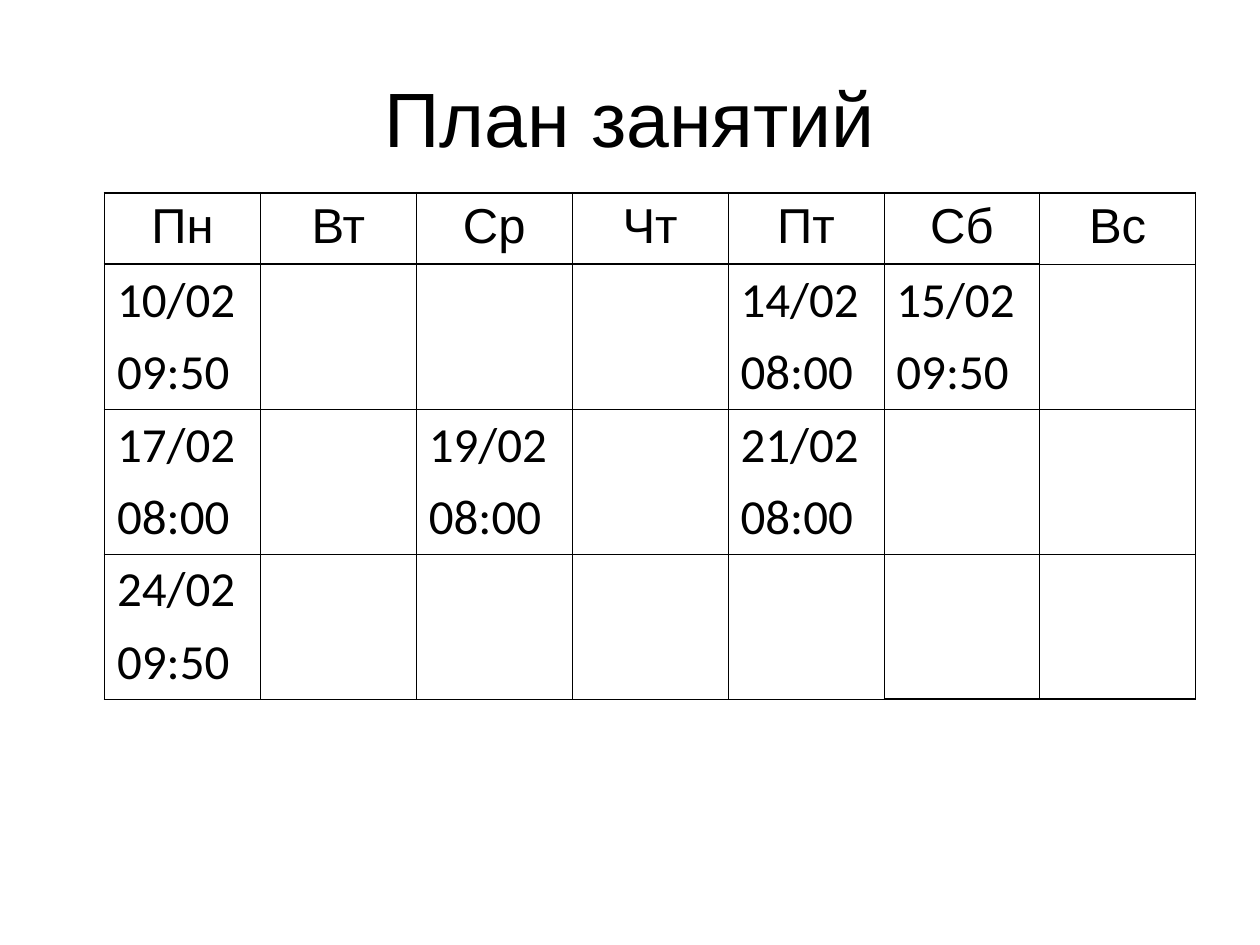
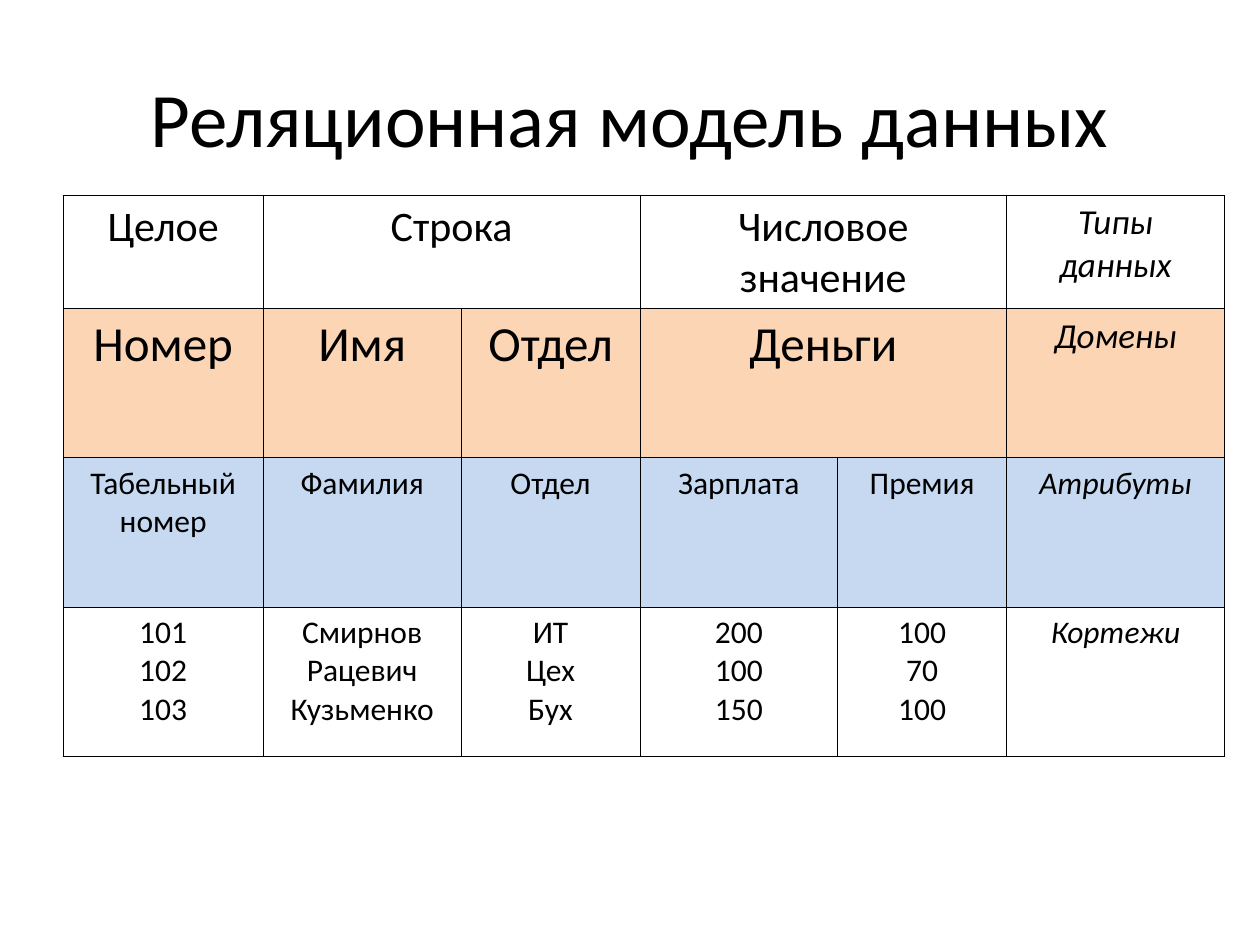
from dataclasses import dataclass

from lxml.etree import SubElement as Sub
from pptx import Presentation
from pptx.dml.color import RGBColor as RGB
from pptx.enum.text import MSO_ANCHOR as Anchor, PP_ALIGN as Align
from pptx.oxml.ns import qn
from pptx.util import Inches, Pt


@dataclass(frozen=True)
class Theme:
    ink: str = "000000"
    peach: str = "FCD5B5"
    sky: str = "C6D9F1"
    sans: str = "Arial"
    body: str = "Calibri"
    title: int = 44
    large: int = 28
    mid: int = 24
    note: int = 20
    small: int = 18
    thin: float = 0.45
    thick: float = 1.08


T = Theme()
HEAD = (0.5, 0.3, 9, 1.25)

# Class schedule: day names, then the lessons of each week by day
DAYS = ["Пн", "Вт", "Ср", "Чт", "Пт", "Сб", "Вс"]
WEEKS = [
    {"Пн": "10/02\n09:50", "Пт": "14/02\n08:00", "Сб": "15/02\n09:50"},
    {"Пн": "17/02\n08:00", "Ср": "19/02\n08:00", "Пт": "21/02\n08:00"},
    {"Пн": "24/02\n09:50"},
]

# Relational model: None continues the cell on its left
MODEL = [
    ["Целое", "Строка", None, "Числовое значение", None, "Типы данных"],
    ["Номер", "Имя", "Отдел", "Деньги", None, "Домены"],
    ["Табельный номер", "Фамилия", "Отдел", "Зарплата", "Премия", "Атрибуты"],
    ["101\n102\n103", "Смирнов\nРацевич\nКузьменко", "ИТ\nЦех\nБух",
     "200\n100\n150", "100\n70\n100", "Кортежи"],
]
# Text size, label size and fill of each model row
LOOKS = [
    (T.mid, T.note, None),
    (T.large, T.note, T.peach),
    (T.small, T.small, T.sky),
    (T.small, T.small, None),
]


def write(frame, text, font, size, align=Align.CENTER, before=0, italic=False):
    """Fill a text frame, one paragraph for each line."""
    for i, line in enumerate(text.split("\n")):
        para = frame.paragraphs[0] if i == 0 else frame.add_paragraph()
        form = {"alignment": align, "space_before": Pt(before)}
        for name, value in form.items():
            setattr(para, name, value)
        run = para.add_run()
        run.text = line
        look = {"name": font, "size": Pt(size), "italic": italic}
        for name, value in look.items():
            setattr(run.font, name, value)
        run.font.color.rgb = RGB.from_string(T.ink)


def title(slide, box, text, font):
    frame = slide.shapes.add_textbox(*map(Inches, box)).text_frame
    form = {"word_wrap": True, "vertical_anchor": Anchor.MIDDLE}
    for name, value in form.items():
        setattr(frame, name, value)
    write(frame, text, font, T.title)


def grid(slide, box, cols, rows):
    """Add a plain table with the given column widths and row heights."""
    table = slide.shapes.add_table(len(rows), len(cols), *map(Inches, box)).table
    for name in ("first_row", "horz_banding"):
        setattr(table, name, False)
    for col, wide in zip(table.columns, cols):
        col.width = Inches(wide)
    for row, high in zip(table.rows, rows):
        row.height = Inches(high)
    return table


def dress(cell, fill=None, bold=""):
    """Draw the cell's borders, thick on the sides in bold, and its fill."""
    props = cell._tc.get_or_add_tcPr()
    for side in "LRTB":
        width = T.thick if side in bold else T.thin
        line = Sub(props, qn(f"a:ln{side}"), w=str(Pt(width)))
        Sub(Sub(line, qn("a:solidFill")), qn("a:srgbClr"), val=T.ink)
    if fill:
        cell.fill.solid()
        cell.fill.fore_color.rgb = RGB.from_string(fill)
    else:
        cell.fill.background()


def edges(r, c):
    """Sides of a schedule cell that carry a thick line."""
    last = len(DAYS) - 1
    tests = {
        "L": c == 0,
        "R": c == last,
        "T": r == 0 or (r == 1 and c < last),
        "B": (r == 0 and c < last) or (r == len(WEEKS) and c >= last - 1),
    }
    return "".join(side for side, on in tests.items() if on)


def plan(slide, box):
    """Schedule table with equal day columns and equal week rows."""
    wide, high, top = box[2], box[3], 0.53
    week = (high - top) / len(WEEKS)
    table = grid(slide, box, [wide / len(DAYS)] * len(DAYS),
                 [top] + [week] * len(WEEKS))
    for c, day in enumerate(DAYS):
        write(table.cell(0, c).text_frame, day, T.sans, T.large, before=7)
        dress(table.cell(0, c), bold=edges(0, c))
        for r, times in enumerate(WEEKS, 1):
            cell = table.cell(r, c)
            if day in times:
                write(cell.text_frame, times[day], T.body, T.large, Align.LEFT, 7)
            dress(cell, bold=edges(r, c))


def model(slide, box):
    """Relational table whose last column holds the italic row labels."""
    top = 0.9
    rest = (box[3] - top) / (len(MODEL) - 1)
    table = grid(slide, box, [1.59, 1.57, 1.42, 1.57, 1.34, 1.73],
                 [top] + [rest] * (len(MODEL) - 1))
    for r, (words, (size, label, fill)) in enumerate(zip(MODEL, LOOKS)):
        for c, word in enumerate(words):
            cell = table.cell(r, c)
            dress(cell, fill)
            if word is None:
                table.cell(r, c - 1).merge(cell)
                continue
            last = c == len(words) - 1
            write(cell.text_frame, word, T.body, label if last else size,
                  italic=last)


def main():
    deck = Presentation()
    deck.slide_width, deck.slide_height = Inches(10), Inches(7.5)
    pages = [
        ("План занятий", T.sans, plan, (0.83, 1.53, 8.66, 3.98)),
        ("Реляционная модель данных", T.body, model, (0.5, 1.55, 9.22, 4.45)),
    ]
    for text, font, draw, box in pages:
        slide = deck.slides.add_slide(deck.slide_layouts[6])
        title(slide, HEAD, text, font)
        draw(slide, box)
    deck.save("out.pptx")


if __name__ == "__main__":
    main()
